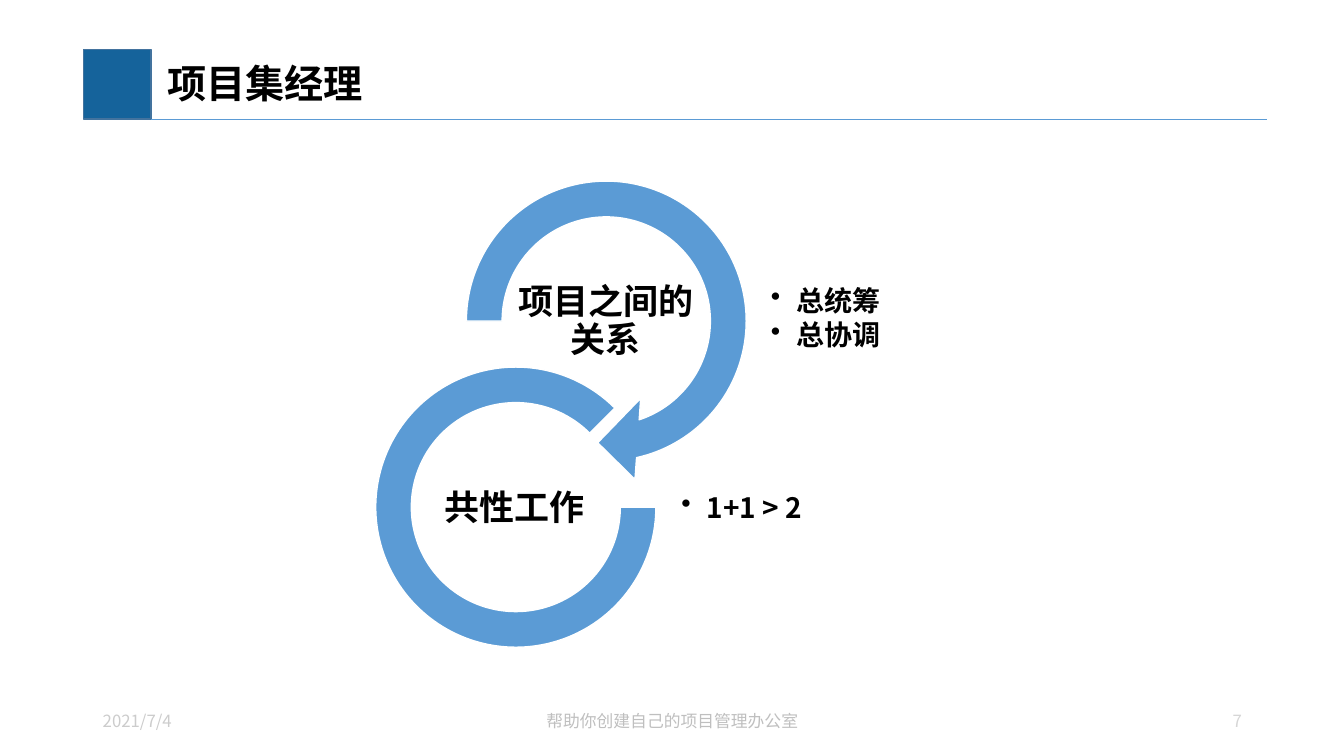
from lxml import etree
from pptx import Presentation
from pptx.dml.color import RGBColor
from pptx.enum.shapes import MSO_CONNECTOR, MSO_SHAPE
from pptx.enum.text import MSO_ANCHOR, PP_ALIGN
from pptx.oxml.ns import qn
from pptx.util import Cm, Pt

RECTANGLE = MSO_SHAPE.RECTANGLE
CIRCULAR_ARROW = MSO_SHAPE.CIRCULAR_ARROW
BLOCK_ARC = MSO_SHAPE.BLOCK_ARC
STRAIGHT = MSO_CONNECTOR.STRAIGHT
MIDDLE = MSO_ANCHOR.MIDDLE
LEFT, CENTER, RIGHT = PP_ALIGN.LEFT, PP_ALIGN.CENTER, PP_ALIGN.RIGHT

BLACK = RGBColor(0x00, 0x00, 0x00)
WHITE = RGBColor(0xFF, 0xFF, 0xFF)
NAVY = RGBColor(0x15, 0x63, 0x9B)
NAVY_EDGE = RGBColor(0x43, 0x73, 0x9E)
BLUE = RGBColor(0x5B, 0x9B, 0xD5)
DATE_GREY = RGBColor(0xCC, 0xCC, 0xCC)
FOOTER_GREY = RGBColor(0xBF, 0xBF, 0xBF)
NUMBER_GREY = RGBColor(0xD6, 0xD6, 0xD6)


class SlideBuilder:
    font_name = "Noto Sans CJK SC"
    tight = (0.05, 0.05, 0.05, 0.05)
    bullet_indent = Cm(0.64)

    def __init__(self, slide):
        self.slide = slide

    def shape(self, kind, box, fill, edge, adjustments=()):
        shape = self.slide.shapes.add_shape(kind, *map(Cm, box))
        shape.shadow.inherit = False
        shape.fill.solid()
        shape.fill.fore_color.rgb = fill
        shape.line.color.rgb = edge
        shape.line.width = Pt(1)
        for index, value in enumerate(adjustments):
            shape.adjustments[index] = value

    def rule(self, start, end, color, width):
        rule = self.slide.shapes.add_connector(STRAIGHT, *map(Cm, start + end))
        rule.line.color.rgb = color
        rule.line.width = Pt(width)
        etree.SubElement(rule._element.spPr, qn("a:effectLst"))

    def text(self, box, lines, size, color=BLACK, bold=True, align=LEFT,
             insets=(0.25, 0.13, 0.25, 0.13), spacing=None, after=0, bulleted=False):
        frame = self.slide.shapes.add_textbox(*map(Cm, box)).text_frame
        frame.word_wrap = True
        frame.vertical_anchor = MIDDLE
        (frame.margin_left, frame.margin_top,
         frame.margin_right, frame.margin_bottom) = map(Cm, insets)
        frame.text = "\n".join(lines)
        for paragraph in frame.paragraphs:
            paragraph.alignment = align
            paragraph.line_spacing = spacing
            paragraph.space_after = Pt(after)
            font = paragraph.font
            font.size, font.bold, font.name = Pt(size), bold, self.font_name
            font.color.rgb = color
            properties = paragraph._p.pPr
            defaults = properties.find(qn("a:defRPr"))
            etree.SubElement(defaults, qn("a:ea"), typeface=self.font_name)
            if bulleted:
                properties.set("marL", str(self.bullet_indent))
                properties.set("indent", str(-self.bullet_indent))
                bullet = etree.Element(qn("a:buChar"), char="•")
                defaults.addprevious(bullet)

    def caption(self, left, top, words):
        self.text((left, top, 4.57, 2.29), [words], 25, align=CENTER,
                  insets=self.tight, spacing=Pt(27))

    def bullets(self, left, top, items):
        self.text((left, top, 4.93, 3.28), items, 20, insets=self.tight,
                  spacing=Pt(21.5), after=3, bulleted=True)

    def footer(self, box, words, color, align):
        self.text(box, [words], 12, color, bold=False, align=align)


def main():
    presentation = Presentation()
    presentation.slide_width = Cm(33.87)
    presentation.slide_height = Cm(19.05)
    builder = SlideBuilder(presentation.slides.add_slide(presentation.slide_layouts[6]))

    builder.shape(RECTANGLE, (2.11, 1.25, 1.7, 1.75), NAVY, NAVY_EDGE)
    builder.rule((3.81, 3), (31.93, 3), BLUE, 0.5)
    builder.text((3.81, 1.27, 27.74, 1.78), ["项目集经理"], 28,
                 insets=(0.4, 0.13, 0.25, 0.13), spacing=0.9)

    builder.shape(CIRCULAR_ARROW, (11.18, 3.99, 8.2, 8.2), BLUE, WHITE,
                  (0.11, 11.42, 45, 108, 0.125))
    builder.bullets(19.38, 6.4, ["总统筹", "总协调"])
    builder.caption(12.98, 6.96, "项目之间的关系")

    builder.shape(BLOCK_ARC, (9.47, 9.25, 7.06, 7.06), BLUE, WHITE, (0, 189, 0.127))
    builder.bullets(17.12, 11.18, ["1+1 > 2"])
    builder.caption(10.69, 11.68, "共性工作")

    builder.footer((2.34, 17.65, 7.62, 1.02), "2021/7/4", DATE_GREY, LEFT)
    builder.footer((11.23, 17.65, 11.43, 1.02), "帮助你创建自己的项目管理办公室",
                   FOOTER_GREY, CENTER)
    builder.footer((23.7, 17.63, 7.85, 1.07), "7", NUMBER_GREY, RIGHT)

    presentation.save("out.pptx")


if __name__ == "__main__":
    main()
